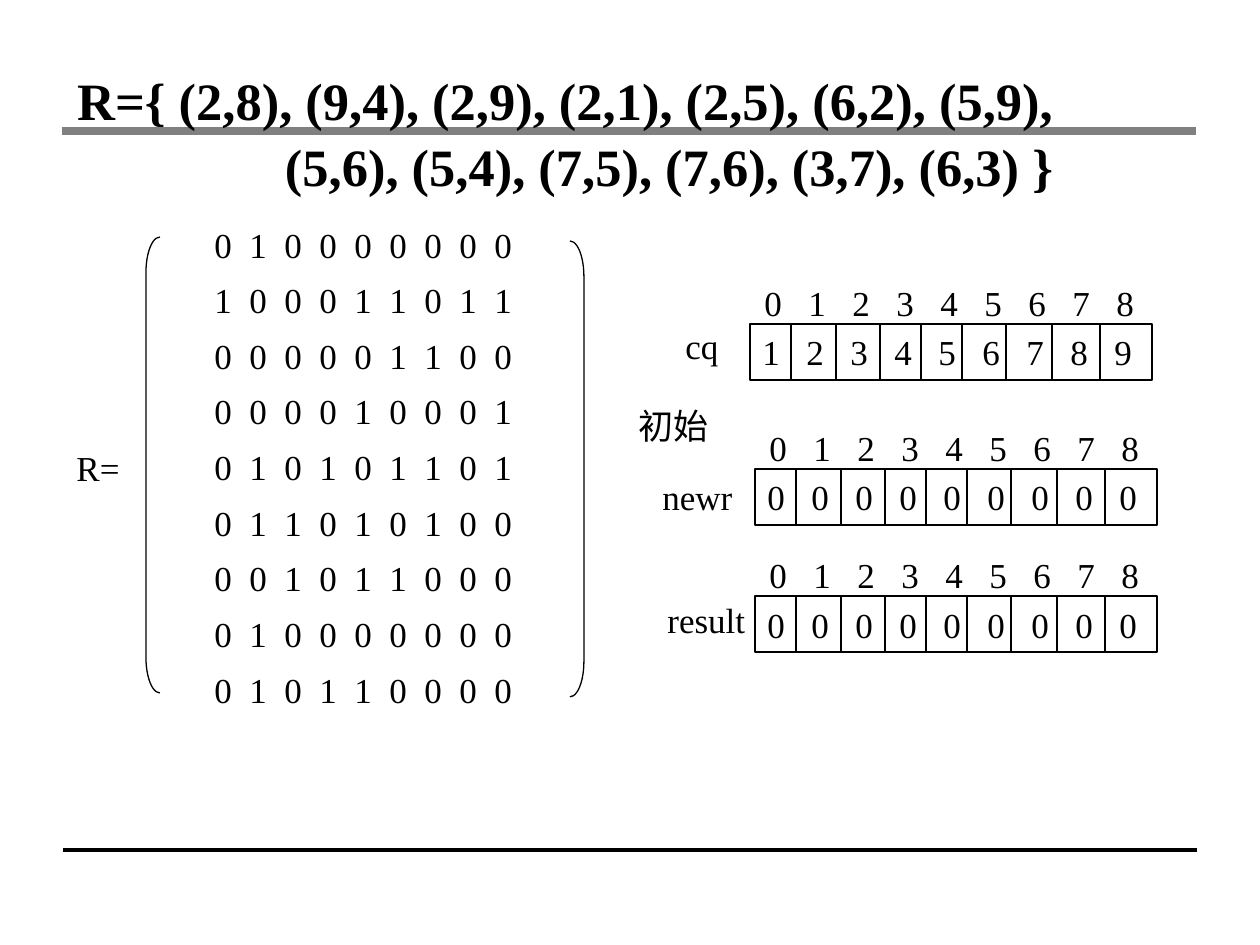
from lxml.etree import SubElement
from pptx import Presentation
from pptx.dml.color import RGBColor
from pptx.enum.shapes import MSO_CONNECTOR as Line, MSO_SHAPE as Shape
from pptx.enum.text import MSO_ANCHOR as Anchor, MSO_AUTO_SIZE as Fit, PP_ALIGN as Align
from pptx.oxml.ns import qn
from pptx.util import Pt

EMU_PER_PX = 914400 / 126
BLACK, GRAY = "000000", "808080"
LATIN, CJK = "Times New Roman", "Noto Sans CJK SC"

RULES = [(63, 850, 1197, 850, BLACK, 2), (62, 131, 1196, 131, GRAY, 5)]
TITLE = [
    "R={ (2,8), (9,4), (2,9), (2,1), (2,5), (6,2), (5,9),",
    "(5,6), (5,4), (7,5), (7,6), (3,7), (6,3) }",
]
MATRIX = [
    "010000000",
    "100011011",
    "000001100",
    "000010001",
    "010101101",
    "011010100",
    "001011000",
    "010000000",
    "010110000",
]
INDEXES = "012345678"
ARRAYS = [
    ("123456789", 750, 324),
    ("000000000", 755, 469),
    ("000000000", 755, 596),
]
LABELS = [
    ("cq", 673, 318, 58, LATIN),
    ("newr", 650, 469, 96, LATIN),
    ("result", 655, 592, 103, LATIN),
    ("初始", 626, 398, 96, CJK),
    ("R=", 64, 440, 68, LATIN),
]
BRACKETS = [(Shape.LEFT_BRACKET, 146, 237), (Shape.RIGHT_BRACKET, 570, 241)]

ARRAY_W, ARRAY_H, ARRAY_PITCH = 402, 56, 44
DIVIDERS = [41, 86, 130, 171, 212, 256, 302, 350]
ROW_H, MATRIX_X, MATRIX_Y, MATRIX_W = 54, 202, 217, 323
MATRIX_BOTTOM, MATRIX_PITCH = 662, 35


def px(value):
    return round(value * EMU_PER_PX)


def color(value):
    return RGBColor.from_string(value)


def apply(target, values):
    for key, value in values.items():
        setattr(target, key, value)


def write(shape, lines, size=20, font=LATIN, bold=False, pitch=0,
          align=Align.LEFT, spacing=None, **frame_format):
    frame = shape.text_frame
    apply(frame, {"vertical_anchor": Anchor.MIDDLE, "word_wrap": False, **frame_format})
    frame.text = "\n".join(lines)
    for paragraph in frame.paragraphs:
        apply(paragraph, {"alignment": align, "line_spacing": spacing})
        if pitch:
            stops = SubElement(paragraph._p.get_or_add_pPr(), qn("a:tabLst"))
            for column in range(1, len(INDEXES)):
                SubElement(stops, qn("a:tab"), pos=str(px(column * pitch)), algn="l")
        for run in paragraph.runs:
            apply(run.font, {"size": Pt(size), "name": font, "bold": bold})
            run.font.color.rgb = color(BLACK)
            SubElement(run._r.get_or_add_rPr(), qn("a:ea"), typeface=font)


def add_text(shapes, x, y, w, h, lines, **text_format):
    box = shapes.add_textbox(*map(px, (x, y, w, h)))
    write(box, lines, auto_size=Fit.SHAPE_TO_FIT_TEXT, **text_format)


def add_line(shapes, x1, y1, x2, y2, stroke=BLACK, width=0.75):
    line = shapes.add_connector(Line.STRAIGHT, *map(px, (x1, y1, x2, y2)))
    line.line.color.rgb = color(stroke)
    line.line.width = Pt(width)
    SubElement(line._element.spPr, qn("a:effectLst"))


def add_outline(shapes, kind, x, y, w, h):
    outline = shapes.add_shape(kind, *map(px, (x, y, w, h)))
    outline.shadow.inherit = False
    outline.fill.background()
    outline.line.color.rgb = color(BLACK)
    outline.line.width = Pt(0.75)
    return outline


def add_array(shapes, values, x, y):
    digits = {"pitch": ARRAY_PITCH, "word_wrap": True, "margin_right": 0}
    cells = add_outline(shapes, Shape.RECTANGLE, x, y, ARRAY_W, ARRAY_H)
    write(cells, ["\t".join(values)], **digits)
    for offset in DIVIDERS:
        add_line(shapes, x + offset, y, x + offset, y + ARRAY_H)
    add_text(shapes, x + 2, y - 49, ARRAY_W, ROW_H, ["\t".join(INDEXES)], **digits)


def main():
    deck = Presentation()
    apply(deck, {"slide_width": px(1260), "slide_height": px(945)})
    shapes = deck.slides.add_slide(deck.slide_layouts[6]).shapes

    for rule in RULES:
        add_line(shapes, *rule)
    for array in ARRAYS:
        add_array(shapes, *array)
    for label, x, y, w, font in LABELS:
        add_text(shapes, x, y, w, ROW_H, [label], font=font)
    add_text(shapes, 64, 59, 1002, 138, TITLE, size=30, bold=True, align=Align.RIGHT,
             spacing=1.05, vertical_anchor=Anchor.TOP)

    row_step = (MATRIX_BOTTOM - MATRIX_Y) / (len(MATRIX) - 1)
    for index, row in enumerate(MATRIX):
        add_text(shapes, MATRIX_X, MATRIX_Y + index * row_step, MATRIX_W, ROW_H,
                 ["\t".join(row)], pitch=MATRIX_PITCH, word_wrap=True, margin_right=0)
    for kind, x, y in BRACKETS:
        add_outline(shapes, kind, x, y, 14, 456).adjustments[0] = 2.54

    deck.save("out.pptx")


if __name__ == "__main__":
    main()
